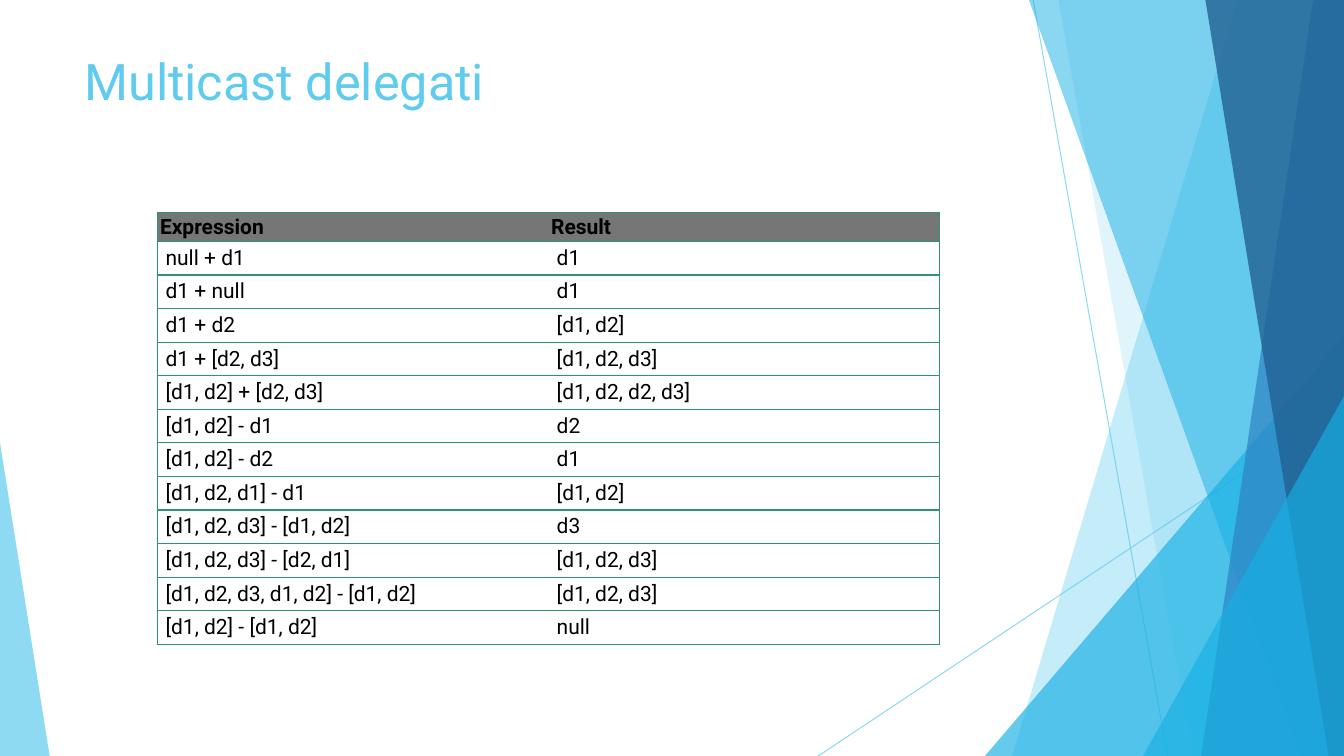
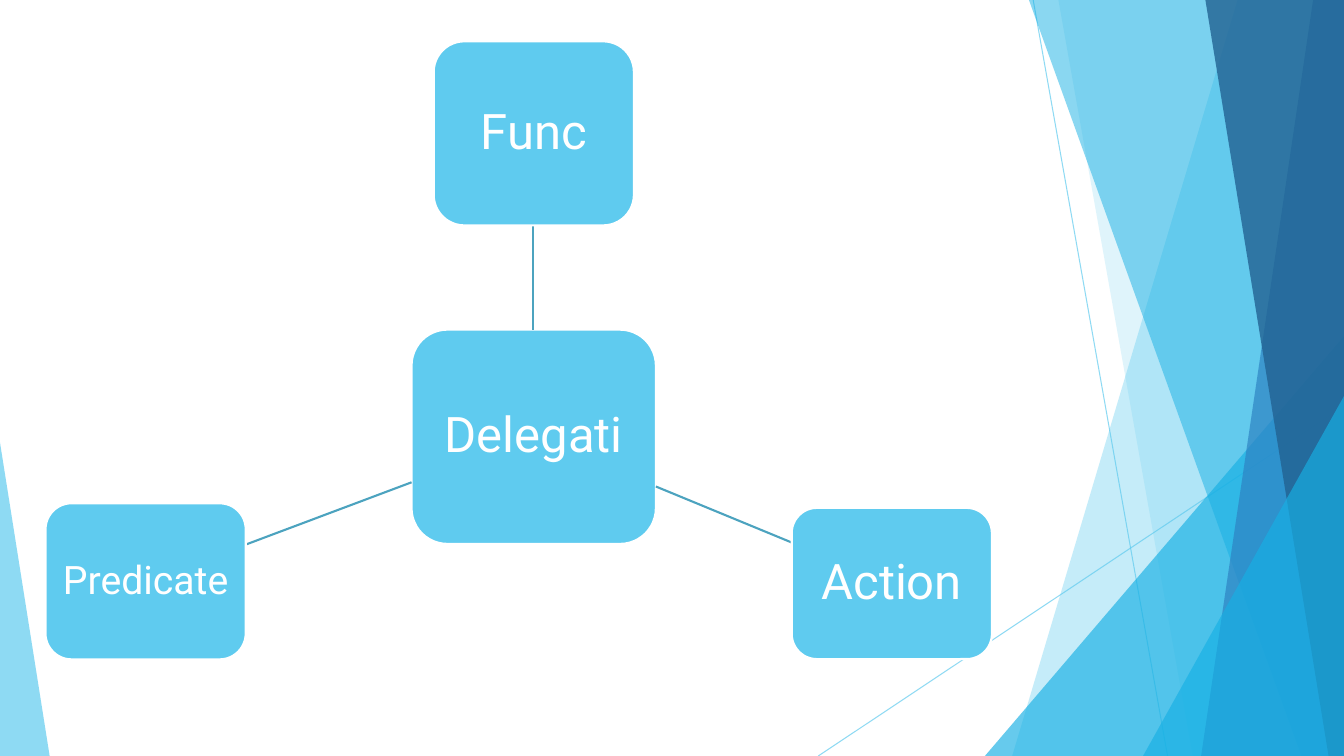
from lxml.etree import SubElement
from pptx import Presentation
from pptx.dml.color import RGBColor
from pptx.enum.shapes import MSO_CONNECTOR, MSO_SHAPE
from pptx.enum.text import MSO_ANCHOR, MSO_AUTO_SIZE, PP_ALIGN
from pptx.oxml.ns import qn
from pptx.util import Pt

WIDTH, HEIGHT = 960, 540
TITLE_ONLY, BLANK = 5, 6
NO_STYLE_NO_GRID = "{2D5ABB26-0587-4C30-8999-92F81FD0307C}"


def color(hex_code):
    return RGBColor.from_string(hex_code)


class Deck:
    font = "Roboto"
    sky, cyan, blue, navy = "5FCBEF", "17B0E4", "2E83C3", "226292"
    spoke, border, header = "4CA3BF", "2E946B", "767676"
    white, black = "FFFFFF", "000000"

    def __init__(self):
        self.prs = Presentation()
        self.prs.slide_width, self.prs.slide_height = Pt(WIDTH), Pt(HEIGHT)
        self.slide = None

    def new_slide(self, layout):
        self.slide = self.prs.slides.add_slide(self.prs.slide_layouts[layout])

    # Text and paint helpers
    def add_text(self, frame, text, size, ink, align=PP_ALIGN.LEFT, bold=False):
        paragraph = frame.paragraphs[0]
        paragraph.alignment = align
        run = paragraph.add_run()
        run.text = text
        run.font.name, run.font.size, run.font.bold = self.font, Pt(size), bold
        run.font.color.rgb = color(ink)
        return paragraph

    def set_opacity(self, shape, percent):
        for tint in shape.element.spPr.iter(qn("a:srgbClr")):
            SubElement(tint, qn("a:alpha"), val=str(percent * 1000))

    def paint(self, shape, fill, opacity=100):
        shape.shadow.inherit = False
        shape.fill.solid()
        shape.fill.fore_color.rgb = color(fill)
        shape.line.fill.background()
        if opacity < 100:
            self.set_opacity(shape, opacity)

    # Elements
    def line(self, start, end, ink, weight, opacity=100):
        ends = [Pt(value) for value in (*start, *end)]
        connector = self.slide.shapes.add_connector(MSO_CONNECTOR.STRAIGHT, *ends)
        connector.line.color.rgb = color(ink)
        connector.line.width = Pt(weight)
        SubElement(connector.element.spPr, qn("a:effectLst"))
        if opacity < 100:
            self.set_opacity(connector, opacity)

    def band(self, top_x, bottom_x, fill, opacity):
        """A full-height band from a slanted left edge to the slide's right edge."""
        builder = self.slide.shapes.build_freeform(Pt(top_x), 0)
        corners = [(WIDTH, 0), (WIDTH, HEIGHT), (bottom_x, HEIGHT)]
        builder.add_line_segments([(Pt(x), Pt(y)) for x, y in corners], close=True)
        self.paint(builder.convert_to_shape(), fill, opacity)

    def corner(self, left, top, width, peak, fill, opacity):
        """A triangle standing on the slide's bottom edge."""
        triangle = self.slide.shapes.add_shape(
            MSO_SHAPE.ISOSCELES_TRIANGLE, Pt(left), Pt(top), Pt(width), Pt(HEIGHT - top))
        triangle.adjustments[0] = peak
        self.paint(triangle, fill, opacity)

    def title(self, text):
        heading = self.slide.shapes.title
        heading.left, heading.top = Pt(53), Pt(29.5)
        heading.width, heading.height = Pt(677), Pt(63.5)
        frame = heading.text_frame
        frame.word_wrap, frame.auto_size = True, MSO_AUTO_SIZE.NONE
        frame.vertical_anchor, frame.margin_top = MSO_ANCHOR.TOP, Pt(6)
        self.add_text(frame, text, 36, self.sky, PP_ALIGN.JUSTIFY)

    def node(self, left, top, width, height, text, size=35):
        box = self.slide.shapes.add_shape(
            MSO_SHAPE.ROUNDED_RECTANGLE, Pt(left), Pt(top), Pt(width), Pt(height))
        self.paint(box, self.sky)
        box.line.color.rgb, box.line.width = color(self.white), Pt(1.5)
        frame = box.text_frame
        frame.word_wrap, frame.vertical_anchor = True, MSO_ANCHOR.MIDDLE
        frame.margin_left = frame.margin_right = Pt(6)
        self.add_text(frame, text, size, self.white, PP_ALIGN.CENTER).line_spacing = 0.9

    def cell(self, cell, text, is_header, sides):
        side_inset, top_inset = (2, 1.4) if is_header else (6, 3)
        cell.margin_left = cell.margin_right = Pt(side_inset)
        cell.margin_top = cell.margin_bottom = Pt(top_inset)
        cell.vertical_anchor = MSO_ANCHOR.MIDDLE
        self.add_text(cell.text_frame, text, 15, self.black, bold=is_header)
        properties = cell._tc.get_or_add_tcPr()
        for side in sides:
            edge = SubElement(properties, qn(f"a:ln{side}"), w=str(Pt(1)))
            SubElement(SubElement(edge, qn("a:solidFill")), qn("a:srgbClr"), val=self.border)
        cell.fill.solid()
        cell.fill.fore_color.rgb = color(self.header if is_header else self.white)

    def table(self, left, top, column_width, header_height, row_height, rows):
        columns = len(rows[0])
        heights = [header_height] + [row_height] * (len(rows) - 1)
        graphic = self.slide.shapes.add_table(
            len(rows), columns, Pt(left), Pt(top),
            Pt(column_width * columns), Pt(sum(heights)))
        grid = graphic.table
        grid.first_row = grid.horz_banding = False
        for style in graphic.element.iter(qn("a:tableStyleId")):
            style.text = NO_STYLE_NO_GRID
        for column in grid.columns:
            column.width = Pt(column_width)
        for r, (texts, height) in enumerate(zip(rows, heights)):
            grid.rows[r].height = Pt(height)
            for c, text in enumerate(texts):
                self.cell(grid.cell(r, c), text, r == 0, "RTB" if c else "LTB")

    # Shared backdrop, kept on the slide master
    def backdrop(self):
        self.line((738, 0), (834, HEIGHT), self.sky, 0.75, 70)
        self.line((WIDTH, 290), (584.5, HEIGHT), self.sky, 0.75, 70)
        self.band(884, 723, self.sky, 36)
        self.band(756, 852, self.sky, 20)
        self.corner(703.5, 240, 256.5, 1, self.cyan, 66)
        self.band(735, 929.5, self.cyan, 50)
        self.band(938, 858, self.blue, 70)
        self.band(861, 949, self.navy, 80)
        self.corner(816.5, 283, 143.5, 1, self.cyan, 66)
        self.corner(0, 316, 35.5, 0, self.sky, 70)
        master_tree = self.prs.slide_master.element.cSld.spTree
        decorations = [s for s in self.slide.shapes if not s.is_placeholder]
        for position, decoration in enumerate(decorations):
            decoration.element.xpath(".//p:cNvPr")[0].set("id", str(100 + position))
            master_tree.insert(2 + position, decoration.element)


deck = Deck()

# Slide 1: results of combining delegates
deck.new_slide(TITLE_ONLY)
deck.backdrop()
deck.title("Multicast delegati")
deck.table(112.3, 152, 279.4, 20.4, 24, [
    ("Expression", "Result"),
    ("null + d1", "d1"),
    ("d1 + null", "d1"),
    ("d1 + d2", "[d1, d2]"),
    ("d1 + [d2, d3]", "[d1, d2, d3]"),
    ("[d1, d2] + [d2, d3]", "[d1, d2, d2, d3]"),
    ("[d1, d2] - d1", "d2"),
    ("[d1, d2] - d2", "d1"),
    ("[d1, d2, d1] - d1", "[d1, d2]"),
    ("[d1, d2, d3] - [d1, d2]", "d3"),
    ("[d1, d2, d3] - [d2, d1]", "[d1, d2, d3]"),
    ("[d1, d2, d3, d1, d2] - [d1, d2]", "[d1, d2, d3]"),
    ("[d1, d2] - [d1, d2]", "null"),
])

# Slide 2: delegate kinds around their hub
deck.new_slide(BLANK)
deck.node(294, 235.5, 174.5, 153, "Delegati")
KIND_WIDTH = 143
kinds = [
    ("Func", 35, (309.8, 29.5, 131.5), (381, 235.5), (381, 161)),
    ("Action", 35, (565.5, 362.8, 108), (468.5, 347.5), (565.5, 387.5)),
    ("Predicate", 28, (32.5, 359.5, 111.5), (294, 344.5), (175.5, 389)),
]
for kind, size, (left, top, height), hub_end, kind_end in kinds:
    deck.line(hub_end, kind_end, deck.spoke, 1.5)
    deck.node(left, top, KIND_WIDTH, height, kind, size)

deck.prs.save("out.pptx")
